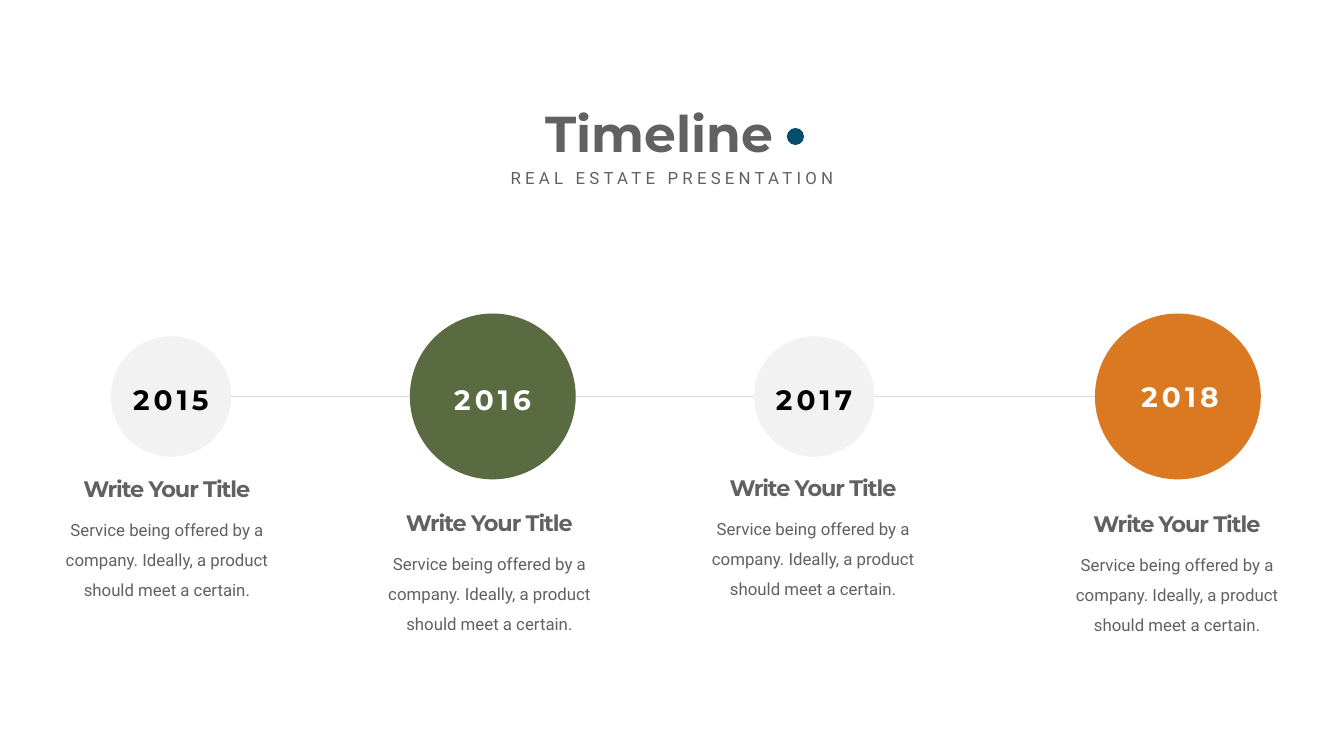
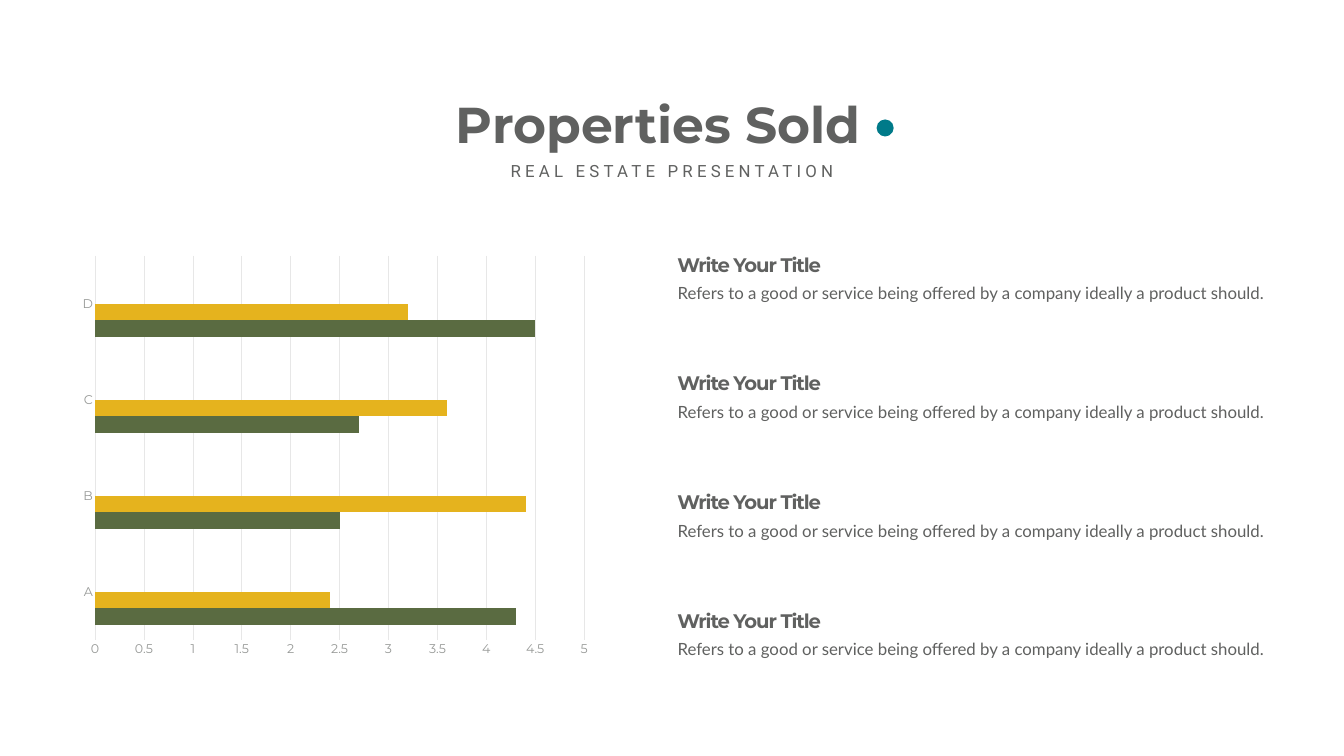
from dataclasses import dataclass

from lxml import etree
from pptx import Presentation
from pptx import util as u
from pptx.chart import data
from pptx.dml.color import RGBColor
from pptx.enum import chart as ch, shapes, text
from pptx.oxml import ns


@dataclass(frozen=True)
class Theme:
    white: str = "FFFFFF"
    black: str = "000000"
    grey: str = "606160"
    label: str = "979997"
    rule: str = "D9D9D9"
    grid: str = "E7E7E7"
    pale: str = "F2F2F2"
    green: str = "5A6B41"
    orange: str = "DA7921"
    gold: str = "E5B31E"
    navy: str = "054D68"
    teal: str = "007A89"
    head: str = "Montserrat"
    plain: str = "Roboto"
    list: str = "Lato"
    title: int = 72
    year: int = 40
    step: int = 32
    item: int = 28
    body: int = 24
    axis: int = 18


T = Theme()
WIDE, HIGH = 67.72, 38.1
INSET = (0.61, 0.3)


def rgb(code):
    return RGBColor.from_string(code)


def write(slide, words, left, top, width, height, size=T.body, font=T.plain,
          color=T.grey, bold=False, track=0, align="CENTER", lead=None, inset=None):
    box = slide.shapes.add_textbox(u.Cm(left), u.Cm(top), u.Cm(width), u.Cm(height))
    frame = box.text_frame
    frame.word_wrap = True
    frame.auto_size = text.MSO_AUTO_SIZE.SHAPE_TO_FIT_TEXT
    if inset:
        frame.margin_left = frame.margin_right = u.Cm(inset[0])
        frame.margin_top = frame.margin_bottom = u.Cm(inset[1])
    para = frame.paragraphs[0]
    para.alignment = text.PP_ALIGN[align]
    if lead:
        para.line_spacing = u.Pt(lead)
    run = para.add_run()
    run.text = words
    style(run.font, size, color, font)
    run.font.bold = bold
    if track:
        run.font._element.set("spc", str(int(track * 100)))


def style(font, size, color, name=T.head):
    font.size = u.Pt(size)
    font.name = name
    font.color.rgb = rgb(color)


def disc(slide, mid_x, mid_y, size, color):
    shape = slide.shapes.add_shape(
        shapes.MSO_SHAPE.OVAL, u.Cm(mid_x - size / 2), u.Cm(mid_y - size / 2),
        u.Cm(size), u.Cm(size))
    shape.shadow.inherit = False
    shape.fill.solid()
    shape.fill.fore_color.rgb = rgb(color)
    shape.line.fill.background()


def rule(slide, start, end, y):
    line = slide.shapes.add_connector(
        shapes.MSO_CONNECTOR.STRAIGHT, u.Cm(start), u.Cm(y), u.Cm(end), u.Cm(y))
    line.line.color.rgb = rgb(T.rule)
    line.line.width = u.Pt(0.5)
    etree.SubElement(line._element.spPr, ns.qn("a:effectLst"))


def page(deck, title, left, top, width, sub_top, dot_x, dot_color):
    slide = deck.slides.add_slide(deck.slide_layouts[6])
    slide.background.fill.solid()
    slide.background.fill.fore_color.rgb = rgb(T.white)
    write(slide, title, left, top, width, 3.33, size=T.title, font=T.head, bold=True)
    write(slide, "REAL ESTATE PRESENTATION", (WIDE - 17.8) / 2, sub_top, 17.8, 1.27,
          track=6)
    disc(slide, dot_x, top + 1.88, 0.86, dot_color)
    return slide


def stage(slide, year, mid, size, fill, ink, year_mid, year_top, text_mid, text_top):
    disc(slide, mid, 19.98, size, fill)
    write(slide, year, year_mid - 3.48, year_top, 6.96, 1.65, size=T.year, font=T.head,
          color=ink, bold=True, track=6)
    write(slide, "Write Your Title", text_mid - 6.38, text_top, 12.75, 1.63,
          size=T.step, font=T.head, bold=True, track=-1.5)
    write(slide, "Service being offered by a company. Ideally, a product should meet a certain.",
          text_mid - 6.59, text_top + 1.56, 13.18, 5.08, lead=43, inset=INSET)


def entry(slide, top):
    write(slide, "Write Your Title", 33.88, top, 8.08, 1.45, size=T.item, font=T.head,
          bold=True, track=-1.5, align="LEFT")
    write(slide, "Refers to a good or service being offered by a company ideally a product should.",
          33.53, top + 1.37, 31.5, 1.63, font=T.list, align="LEFT", inset=INSET)


def bars(slide, left, top, width, height):
    table = data.CategoryChartData()
    table.categories = ["A", "B", "C", "D"]
    rows = [(4.3, 2.5, 2.7, 4.5), (2.4, 4.4, 3.6, 3.2), (None,) * 4, (None,) * 4]
    for num, row in enumerate(rows, 1):
        table.add_series(f"Series {num}", row)
    chart = slide.shapes.add_chart(
        ch.XL_CHART_TYPE.BAR_CLUSTERED, u.Cm(left), u.Cm(top), u.Cm(width),
        u.Cm(height), table).chart
    chart.has_legend = False
    chart.has_title = False
    style(chart.font, T.axis, T.grey)
    plot = chart.plots[0]
    plot.gap_width = 182
    plot.vary_by_categories = False
    for series, color in zip(plot.series, (T.green, T.gold, T.orange, T.green)):
        series.format.fill.solid()
        series.format.fill.fore_color.rgb = rgb(color)
    cats, vals = chart.category_axis, chart.value_axis
    for axis in (cats, vals):
        axis.major_tick_mark = axis.minor_tick_mark = ch.XL_TICK_MARK.NONE
        style(axis.tick_labels.font, T.axis, T.label)
    vals.minimum_scale, vals.maximum_scale, vals.major_unit = 0, 5, 0.5
    vals.has_major_gridlines = True
    vals.format.line.fill.background()
    for line in (cats.format.line, vals.major_gridlines.format.line):
        line.color.rgb = rgb(T.grid)
        line.width = u.Pt(0.75)


def main():
    deck = Presentation()
    deck.slide_width, deck.slide_height = u.Cm(WIDE), u.Cm(HIGH)

    slide = page(deck, "Timeline", 27.05, 5, 12.37, 8.33, 40.08, T.navy)
    rule(slide, 7.87, 60.35, 19.99)
    small, large = 6.07, 8.36
    stage(slide, "2015", 8.62, small, T.pale, T.black, 8.61, 19.15, 8.41, 23.83)
    stage(slide, "2016", 24.83, large, T.green, T.white, 24.82, 19.15, 24.66, 25.55)
    stage(slide, "2017", 41.03, small, T.pale, T.black, 41.02, 19.15, 40.97, 23.77)
    stage(slide, "2018", 59.35, large, T.orange, T.white, 59.46, 19.02, 59.31, 25.6)

    slide = page(deck, "Properties Sold", 22.38, 4.57, 21.56, 7.98, 44.6, T.teal)
    bars(slide, 3.63, 12.47, 26.52, 21.06)
    for row in range(4):
        entry(slide, 12.6 + row * 5.98)

    deck.save("out.pptx")


if __name__ == "__main__":
    main()
